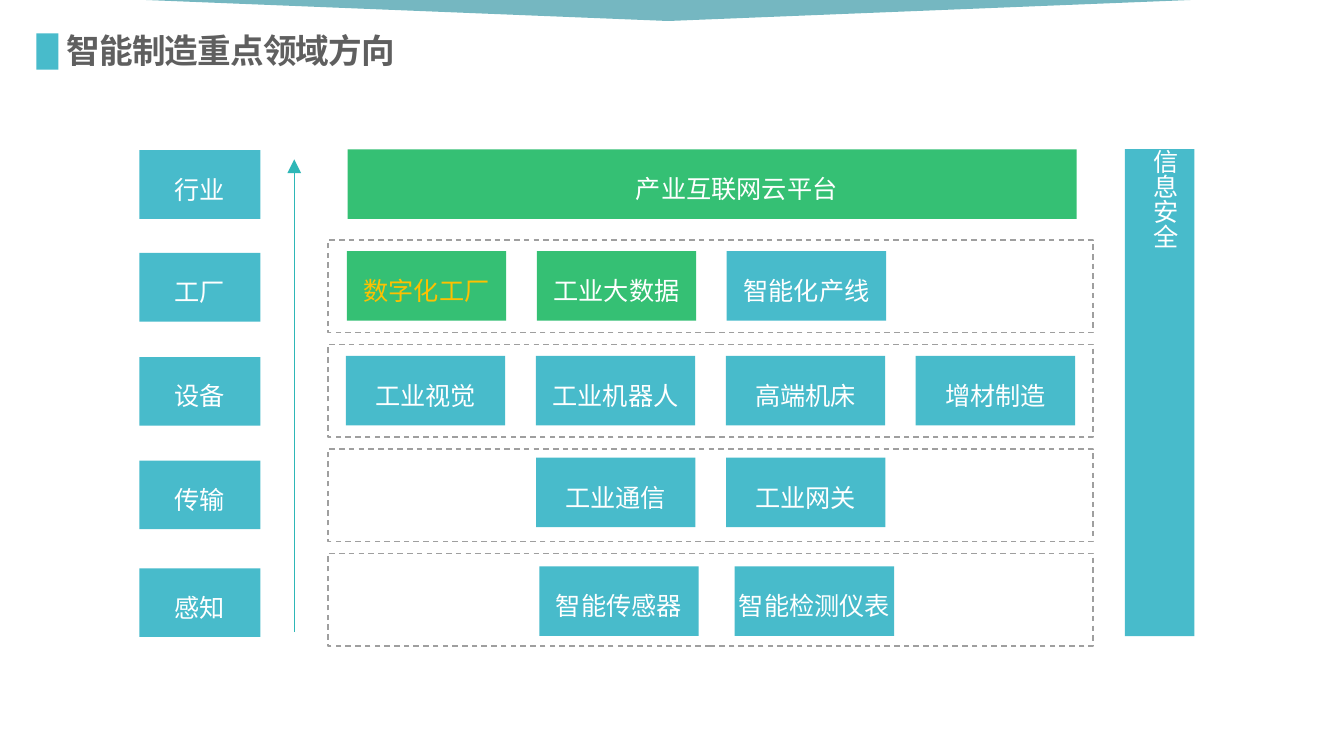
from lxml.etree import SubElement
from pptx import Presentation
from pptx.dml.color import RGBColor
from pptx.enum.dml import MSO_LINE
from pptx.enum.shapes import MSO_CONNECTOR, MSO_SHAPE
from pptx.enum.text import MSO_ANCHOR, MSO_AUTO_SIZE, PP_ALIGN
from pptx.oxml.ns import qn
from pptx.util import Pt

TEAL, GREEN, WHITE, AMBER = "48BBCB", "35C074", "FFFFFF", "FFC000"
GREY, DARK, BANNER, ARROW = "9F9F9F", "5F5F5F", "198898", "2EB7B7"


def colour(hex_code):
    return RGBColor.from_string(hex_code)


def write(frame, text, size=18, color=WHITE, bold=False, align=PP_ALIGN.CENTER,
          anchor=MSO_ANCHOR.MIDDLE, line_spacing=1.3, tracking=None):
    """Fill a text frame with one formatted paragraph."""
    frame.auto_size = MSO_AUTO_SIZE.NONE
    frame.vertical_anchor = anchor
    paragraph = frame.paragraphs[0]
    paragraph.alignment = align
    paragraph.line_spacing = line_spacing
    run = paragraph.add_run()
    run.text = text
    run.font.name = "Arial"
    run.font.size = Pt(size)
    run.font.bold = bold
    run.font.color.rgb = colour(color)
    if tracking is not None:
        run.font._element.set("spc", str(round(tracking * 100)))


class Diagram:
    def __init__(self, slide):
        self.slide = slide

    def title(self, text, left, top, width, height):
        heading = self.slide.shapes.title
        heading.left, heading.top = Pt(left), Pt(top)
        heading.width, heading.height = Pt(width), Pt(height)
        write(heading.text_frame, text, size=24, color=DARK, bold=True,
              align=PP_ALIGN.LEFT, anchor=MSO_ANCHOR.BOTTOM,
              line_spacing=1, tracking=-0.6)

    def block(self, left, top, width, height, fill=TEAL, kind=MSO_SHAPE.RECTANGLE):
        block = self.slide.shapes.add_shape(
            kind, Pt(left), Pt(top), Pt(width), Pt(height))
        block.shadow.inherit = False
        block.line.fill.background()
        block.fill.solid()
        block.fill.fore_color.rgb = colour(fill)
        return block

    def tile(self, text, left, top, width, height, fill=TEAL, color=WHITE,
             inset=0, vertical=False):
        frame = self.block(left, top, width, height, fill).text_frame
        frame.word_wrap = vertical  # vertical text centres only when it wraps
        frame.margin_left = Pt(inset)
        frame.margin_right = frame.margin_top = frame.margin_bottom = 0
        write(frame, text, color=color)
        if vertical:
            frame._txBody.bodyPr.set("vert", "eaVert")

    def banner(self, left, top, width, height):
        banner = self.block(left, top, width, height, BANNER,
                            MSO_SHAPE.ISOSCELES_TRIANGLE)
        banner.rotation = 180
        tint = banner.fill._xPr.find(qn("a:solidFill"))[0]
        SubElement(tint, qn("a:alpha"), val="60000")

    def dashed_frame(self, left, top, width, height):
        outline = self.block(left, top, width, height)
        outline.fill.background()
        outline.line.color.rgb = colour(GREY)
        outline.line.width = Pt(1)
        outline.line.dash_style = MSO_LINE.DASH

    def up_arrow(self, x, bottom, top):
        arrow = self.slide.shapes.add_connector(
            MSO_CONNECTOR.STRAIGHT, Pt(x), Pt(bottom), Pt(x), Pt(top))
        arrow.line.color.rgb = colour(ARROW)
        arrow.line.width = Pt(1)
        SubElement(arrow.line._get_or_add_ln(), qn("a:tailEnd"),
                   type="triangle", w="lg", len="lg")
        SubElement(arrow._element.spPr, qn("a:effectLst"))


def main():
    presentation = Presentation()
    presentation.slide_width, presentation.slide_height = Pt(960), Pt(540)
    diagram = Diagram(presentation.slides.add_slide(presentation.slide_layouts[5]))

    # Header
    diagram.banner(104.4, 0, 745.9, 15)
    diagram.title("智能制造重点领域方向", 40.3, 7.2, 364.3, 46.8)
    diagram.block(25.9, 23.8, 15.8, 25.9)

    # Levels on the left
    levels = [("行业", 107.3), ("工厂", 180.7), ("设备", 255),
              ("传输", 329), ("感知", 406)]
    for level, top in levels:
        diagram.tile(level, 99.6, top, 86.4, 49)
    diagram.up_arrow(210.2, 451.5, 113.8)

    # Platform across the top
    diagram.tile("产业互联网云平台", 248.4, 106.6, 520.6, 49.7, GREEN, inset=35)

    # Domains of each level: left, top, step, tiles
    domains = [
        (247.7, 179.3, 135.7, [("数字化工厂", GREEN, AMBER),
                               ("工业大数据", GREEN, WHITE),
                               ("智能化产线", TEAL, WHITE)]),
        (247, 254.2, 135.7, [(name, TEAL, WHITE) for name in
                             ("工业视觉", "工业机器人", "高端机床", "增材制造")]),
        (382.9, 326.9, 135.7, [(name, TEAL, WHITE) for name in
                               ("工业通信", "工业网关")]),
        (385.2, 404.6, 139.6, [(name, TEAL, WHITE) for name in
                               ("智能传感器", "智能检测仪表")]),
    ]
    for row, (left, top, step, tiles) in enumerate(domains):
        for column, (name, fill, color) in enumerate(tiles):
            diagram.tile(name, left + column * step, top, 113.8, 49.7, fill, color)
        diagram.dashed_frame(234.4, 171.4 + row * 74.6, 546.5, 66.2)

    # Security pillar on the right
    diagram.tile("信息安全", 803.5, 106.6, 49.7, 347.8, inset=14, vertical=True)

    presentation.save("out.pptx")


if __name__ == "__main__":
    main()
